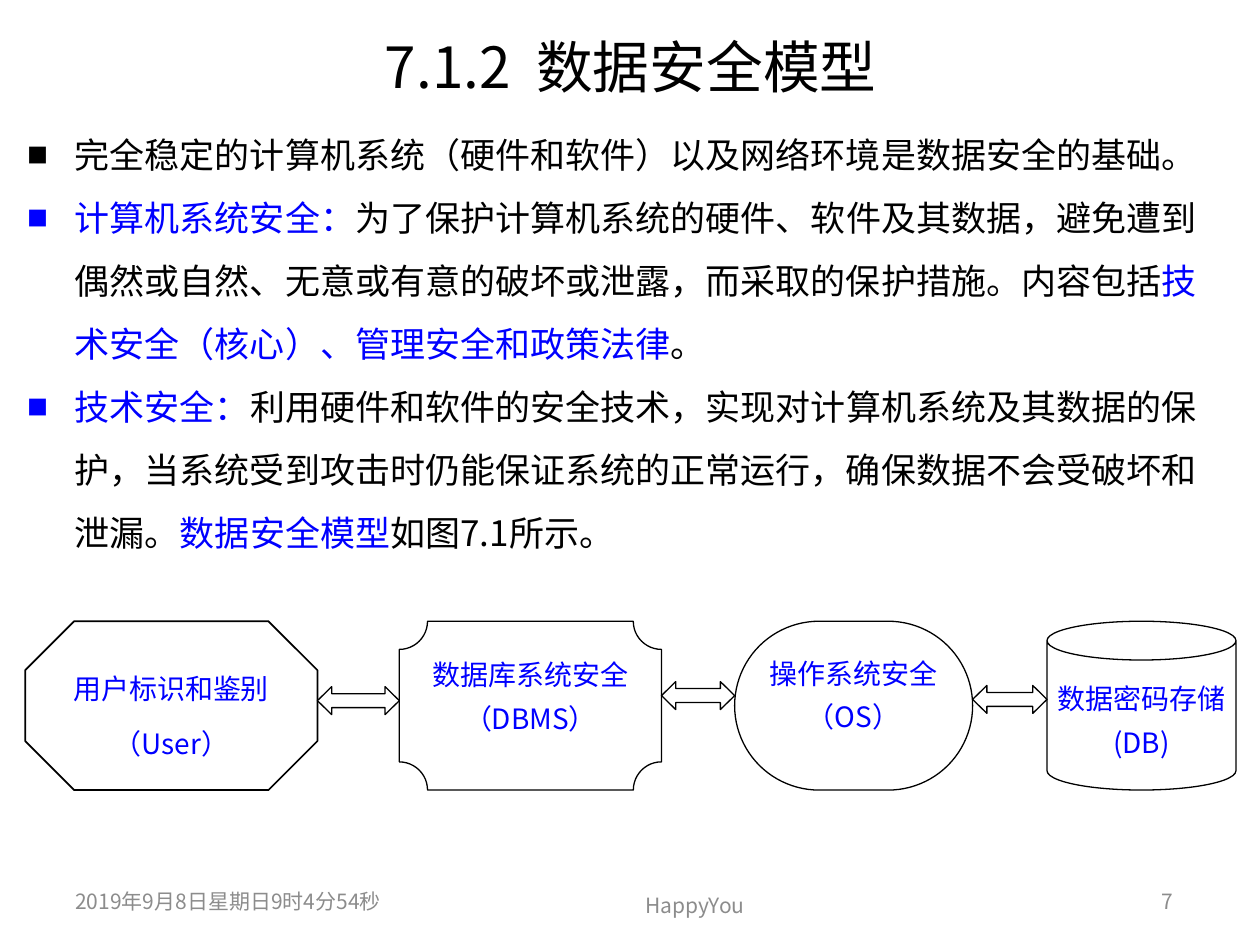
from dataclasses import dataclass
from itertools import pairwise

from lxml.etree import SubElement
from pptx import Presentation
from pptx.dml.color import RGBColor
from pptx.enum.shapes import MSO_SHAPE
from pptx.enum.text import MSO_ANCHOR, PP_ALIGN
from pptx.oxml.ns import qn
from pptx.shapes.autoshape import Shape
from pptx.slide import Slide
from pptx.text.text import TextFrame, _Paragraph, _Run
from pptx.util import Pt

FONT = "Noto Sans CJK SC"
BLACK, BLUE, GREY, WHITE = "000000", "0000FF", "8C8C8C", "FFFFFF"
STAGE_TOP, STAGE_HEIGHT, ARROW_HEIGHT = 355, 96.5, 16


@dataclass(frozen=True)
class Label:
    """A line of text in a box, measured in points."""

    text: str
    left: float
    top: float
    width: float
    height: float
    size: float
    color: str
    align: PP_ALIGN


@dataclass(frozen=True)
class Stage:
    """One layer of the security model."""

    lines: tuple[str, str]
    kind: MSO_SHAPE
    adjustment: float
    left: float
    width: float
    anchor: MSO_ANCHOR
    insets: tuple[float, float, float, float] = (7.2, 3.6, 7.2, 3.6)
    fill: str | None = WHITE
    line_width: float = 0.75
    gap: float = 0


FOOTERS = (
    Label("2019年9月8日星期日9时4分54秒", 36, 500.4, 216, 28.8, 12, GREY, PP_ALIGN.LEFT),
    Label("HappyYou", 308.9, 502.6, 176.4, 28.8, 12, GREY, PP_ALIGN.CENTER),
    Label("7", 516.2, 500.4, 161.3, 28.8, 12, GREY, PP_ALIGN.RIGHT),
)
TITLE = Label("7.1.2", 36.7, 20.9, 647.3, 33.1, 32.4, BLACK, PP_ALIGN.CENTER)
POINTS = (
    (("完全稳定的计算机系统（硬件和软件）以及网络环境是数据安全的基础。", BLACK),),
    (
        ("计算机系统安全：", BLUE),
        ("为了保护计算机系统的硬件、软件及其数据，避免遭到偶然或自然、"
         "无意或有意的破坏或泄露，而采取的保护措施。内容包括", BLACK),
        ("技术安全（核心）、管理安全和政策法律", BLUE),
        ("。", BLACK),
    ),
    (
        ("技术安全：", BLUE),
        ("利用硬件和软件的安全技术，实现对计算机系统及其数据的保护，"
         "当系统受到攻击时仍能保证系统的正常运行，确保数据不会受破坏和泄漏。", BLACK),
        ("数据安全模型", BLUE),
        ("如图7.1所示。", BLACK),
    ),
)
STAGES = (
    Stage(("用户标识和鉴别", "（User）"), MSO_SHAPE.OCTAGON, 0.29, 14.4, 167,
          MSO_ANCHOR.MIDDLE, (7.2, 9.4, 7.2, 3.6), None, 1, 6),
    Stage(("数据库系统安全", "（DBMS）"), MSO_SHAPE.PLAQUE, 0.167, 228.2, 149.8,
          MSO_ANCHOR.TOP),
    Stage(("操作系统安全", "（OS）"), MSO_SHAPE.ROUNDED_RECTANGLE, 0.5, 419.8, 136,
          MSO_ANCHOR.TOP, (0, 0, 0, 0)),
    Stage(("数据密码存储", "(DB)"), MSO_SHAPE.CAN, 0.23, 598.3, 108,
          MSO_ANCHOR.MIDDLE, (5, 2.2, 5, 2.2)),
)
ARROW_TOPS = (392.4, 389.5, 391.7)


def rgb(color: str) -> RGBColor:
    """Turn a hex string into a colour."""
    return RGBColor.from_string(color)


def add_run(paragraph: _Paragraph, text: str, size: float, color: str) -> _Run:
    """Append a run in the slide font."""
    run = paragraph.add_run()
    run.text = text
    run.font.size = Pt(size)
    run.font.name = FONT
    run.font.color.rgb = rgb(color)
    SubElement(run._r.get_or_add_rPr(), qn("a:ea"), typeface=FONT)
    return run


def next_paragraph(frame: TextFrame, index: int) -> _Paragraph:
    """Return the first paragraph of a frame or append another."""
    return frame.add_paragraph() if index else frame.paragraphs[0]


def add_label(slide: Slide, label: Label) -> _Paragraph:
    """Place a vertically centred label and return its paragraph."""
    box = slide.shapes.add_textbox(
        Pt(label.left), Pt(label.top), Pt(label.width), Pt(label.height))
    frame = box.text_frame
    frame.word_wrap = True
    frame.vertical_anchor = MSO_ANCHOR.MIDDLE
    paragraph = frame.paragraphs[0]
    paragraph.alignment = label.align
    add_run(paragraph, label.text, label.size, label.color)
    return paragraph


def add_title(slide: Slide) -> None:
    """Place the title with a widened gap after its section number."""
    heading = add_label(slide, TITLE)
    gap = add_run(heading, " ", TITLE.size, TITLE.color)
    gap._r.get_or_add_rPr().set("spc", "730")
    add_run(heading, "数据安全模型", TITLE.size, TITLE.color)


def add_points(slide: Slide) -> None:
    """Place the bulleted explanation."""
    frame = slide.shapes.add_textbox(Pt(8.6), Pt(60.5), Pt(697.7), Pt(260.6)).text_frame
    frame.word_wrap = True
    for index, point in enumerate(POINTS):
        paragraph = next_paragraph(frame, index)
        paragraph.line_spacing = Pt(36)
        properties = paragraph._p.get_or_add_pPr()
        properties.set("marL", str(Pt(27)))
        properties.set("indent", str(Pt(-27)))
        SubElement(properties, qn("a:buSzPct"), val="60000")
        SubElement(properties, qn("a:buFont"), typeface=FONT)
        SubElement(properties, qn("a:buChar"), char="■")
        for text, color in point:
            add_run(paragraph, text, 20, color)


def add_outline(slide: Slide, kind: MSO_SHAPE, left: float, top: float, width: float,
                height: float, fill: str | None, line_width: float) -> Shape:
    """Place a black-outlined preset shape."""
    outline = slide.shapes.add_shape(kind, Pt(left), Pt(top), Pt(width), Pt(height))
    outline.shadow.inherit = False
    if fill:
        outline.fill.solid()
        outline.fill.fore_color.rgb = rgb(fill)
    else:
        outline.fill.background()
    outline.line.color.rgb = rgb(BLACK)
    outline.line.width = Pt(line_width)
    return outline


def add_stage(slide: Slide, stage: Stage) -> None:
    """Place one layer of the model with its two lines."""
    layer = add_outline(slide, stage.kind, stage.left, STAGE_TOP, stage.width,
                        STAGE_HEIGHT, stage.fill, stage.line_width)
    layer.adjustments[0] = stage.adjustment
    frame = layer.text_frame
    frame.word_wrap = True
    frame.vertical_anchor = stage.anchor
    (frame.margin_left, frame.margin_top,
     frame.margin_right, frame.margin_bottom) = map(Pt, stage.insets)
    for index, text in enumerate(stage.lines):
        paragraph = next_paragraph(frame, index)
        paragraph.alignment = PP_ALIGN.CENTER
        paragraph.line_spacing = Pt(25)
        if index and stage.gap:
            paragraph.space_before = Pt(stage.gap)
        add_run(paragraph, text, 16, BLUE)


def add_exchange(slide: Slide, before: Stage, after: Stage, top: float) -> None:
    """Place the double arrow filling the gap between two layers."""
    start = before.left + before.width
    arrow = add_outline(slide, MSO_SHAPE.LEFT_RIGHT_ARROW, start, top,
                        after.left - start, ARROW_HEIGHT, WHITE, 0.75)
    arrow.adjustments[0] = 0.5
    arrow.adjustments[1] = 0.51


def main() -> None:
    """Build the data security model slide."""
    deck = Presentation()
    deck.slide_width, deck.slide_height = Pt(720), Pt(540)
    slide = deck.slides.add_slide(deck.slide_layouts[6])
    add_title(slide)
    for footer in FOOTERS:
        add_label(slide, footer)
    add_points(slide)
    for stage in STAGES:
        add_stage(slide, stage)
    for (before, after), top in zip(pairwise(STAGES), ARROW_TOPS):
        add_exchange(slide, before, after, top)
    deck.save("out.pptx")


if __name__ == "__main__":
    main()
